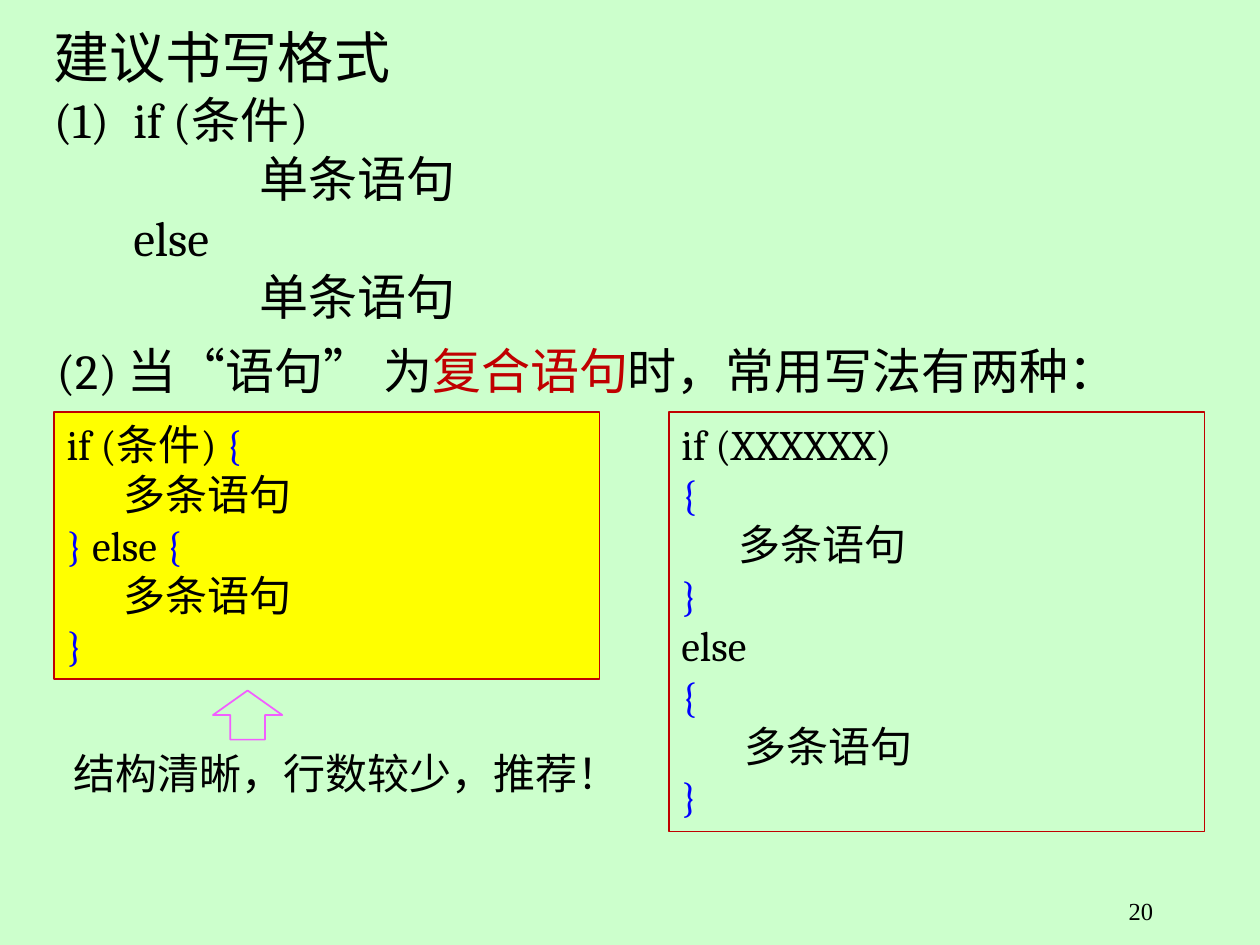
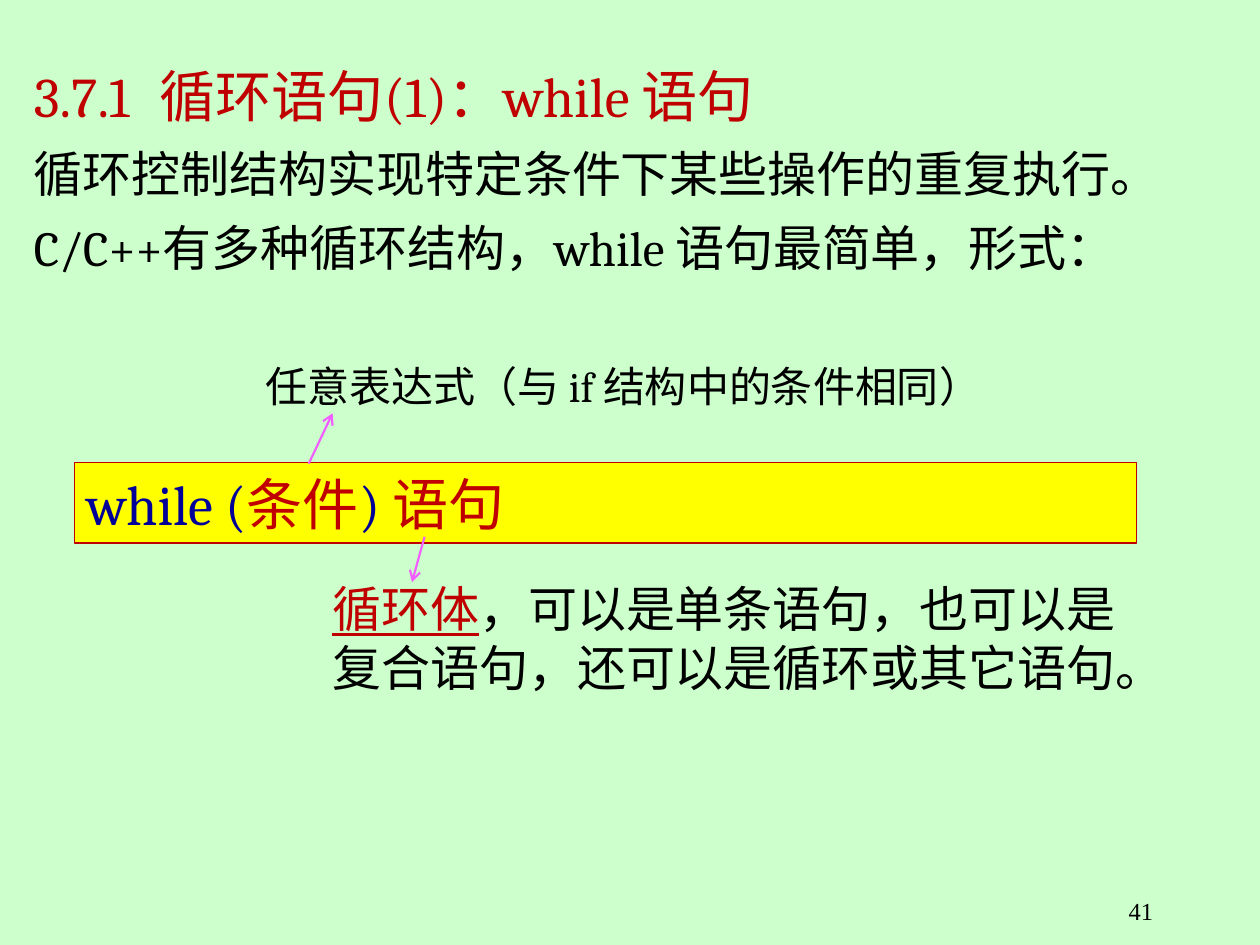
from dataclasses import dataclass
from typing import Optional

from lxml.etree import SubElement
from pptx import Presentation
from pptx.dml.color import RGBColor
from pptx.enum.shapes import MSO_CONNECTOR, MSO_SHAPE
from pptx.enum.text import MSO_ANCHOR, PP_ALIGN
from pptx.oxml.ns import qn
from pptx.util import Inches, Pt

COLORS = {
    "background": "CCFFCC",
    "text": "000000",
    "accent": "C00000",
    "panel": "FFFF00",
    "brace": "0000FF",
    "keyword": "000099",
    "arrow": "F25EFF",
}
SERIF, NUMBER_FONT = "Cambria", "Times New Roman"
TITLE, BODY, CODE, FOOTER = 32, 28, 24, 14

# The slide is a grid of 100 columns by 75 rows
WIDTH, HEIGHT = Inches(10), Inches(7.5)
COLUMN, ROW = WIDTH / 100, HEIGHT / 75


@dataclass(frozen=True)
class Area:
    column: float
    row: float
    columns: float
    rows: float

    def lengths(self) -> tuple:
        return (round(self.column * COLUMN), round(self.row * ROW),
                round(self.columns * COLUMN), round(self.rows * ROW))


@dataclass(frozen=True)
class Piece:
    text: str
    color: str = "text"
    underline: bool = False


@dataclass(frozen=True)
class Line:
    pieces: tuple
    size: float = CODE
    margin: float = 0          # columns
    hanging: float = 0         # columns
    tab: Optional[float] = None  # columns
    before: float = 0          # points


@dataclass(frozen=True)
class Arrow:
    start: tuple
    end: tuple


def line(*pieces, **options) -> Line:
    """A line of text; plain strings take the text colour."""
    return Line(tuple(Piece(p) if isinstance(p, str) else p for p in pieces), **options)


def rgb(name: str) -> RGBColor:
    return RGBColor.from_string(COLORS[name])


def write_text(shape, lines, *, font=SERIF, align=PP_ALIGN.LEFT,
               anchor=MSO_ANCHOR.TOP) -> None:
    frame = shape.text_frame
    frame.word_wrap = True
    frame.vertical_anchor = anchor
    for index, item in enumerate(lines):
        paragraph = frame.paragraphs[0] if index == 0 else frame.add_paragraph()
        paragraph.alignment = align
        properties = paragraph._p.get_or_add_pPr()
        properties.set("marL", str(round(item.margin * COLUMN)))
        properties.set("indent", str(round(-item.hanging * COLUMN)))
        properties.set("hangingPunct", "1")
        if item.tab is not None:
            stops = SubElement(properties, qn("a:tabLst"))
            SubElement(stops, qn("a:tab"), pos=str(round(item.tab * COLUMN)), algn="l")
        if item.before:
            paragraph.space_before = Pt(item.before)
        for piece in item.pieces:
            run = paragraph.add_run()
            run.text = piece.text
            run.font.name = font
            run.font.size = Pt(item.size)
            run.font.color.rgb = rgb(piece.color)
            if piece.underline:
                run.font.underline = True


def add_text(slide, area: Area, lines, **style) -> None:
    write_text(slide.shapes.add_textbox(*area.lengths()), lines, **style)


def add_panel(slide, area: Area, lines=(), *, kind=MSO_SHAPE.RECTANGLE, fill=None,
              outline="accent", weight=0.75, **style) -> None:
    shape = slide.shapes.add_shape(kind, *area.lengths())
    shape.shadow.inherit = False
    if fill:
        shape.fill.solid()
        shape.fill.fore_color.rgb = rgb(fill)
    else:
        shape.fill.background()
    shape.line.color.rgb = rgb(outline)
    shape.line.width = Pt(weight)
    write_text(shape, lines, **style)


def add_arrow(slide, arrow: Arrow) -> None:
    (x1, y1), (x2, y2) = arrow.start, arrow.end
    connector = slide.shapes.add_connector(
        MSO_CONNECTOR.STRAIGHT, round(x1 * COLUMN), round(y1 * ROW),
        round(x2 * COLUMN), round(y2 * ROW))
    connector.line.color.rgb = rgb("arrow")
    connector.line.width = Pt(1.25)
    SubElement(connector.line._get_or_add_ln(), qn("a:tailEnd"), type="arrow")
    SubElement(connector._element.spPr, qn("a:effectLst"))


def new_slide(presentation, number: int):
    """A blank slide with the shared background and page number."""
    slide = presentation.slides.add_slide(presentation.slide_layouts[6])
    slide.background.fill.solid()
    slide.background.fill.fore_color.rgb = rgb("background")
    add_text(slide, Area(71.7, 70.6, 20.8, 4.4), [line(str(number), size=FOOTER)],
             font=NUMBER_FONT, align=PP_ALIGN.RIGHT)
    return slide


def build_if_format(presentation) -> None:
    slide = new_slide(presentation, 20)
    opening, closing = Piece("{", "brace"), Piece("}", "brace")
    step = 6.3
    single = line("单条语句", size=BODY, margin=step + 10)
    several = line("多条语句", margin=4.5)

    # Single-statement form
    add_text(slide, Area(3.3, 1.3, 96.7, 25.2), [
        line("建议书写格式", size=TITLE),
        line("(1)\tif (条件)", size=BODY, margin=step, hanging=step),
        single,
        line("else", size=BODY, margin=step),
        single,
    ])
    add_text(slide, Area(3.5, 26.5, 93.2, 5.7), [
        line("(2) 当“语句” 为", Piece("复合语句", "accent"),
             "时，常用写法有两种：", size=BODY),
    ])

    # Two layouts for compound statements
    add_panel(slide, Area(4.3, 32.7, 43.3, 21.2), [
        line("if (条件) ", opening),
        several,
        line(Piece("} ", "brace"), "else ", opening),
        several,
        line(closing),
    ], fill="panel")
    add_panel(slide, Area(53.1, 32.7, 42.5, 33.3), [
        line("if (XXXXXX)"), line(opening), several, line(closing),
        line("else"), line(opening), line("多条语句", margin=5), line(closing),
    ])

    # Recommendation
    add_text(slide, Area(3.7, 58.8, 44.2, 5), [line("结构清晰，行数较少，推荐！")],
             font=NUMBER_FONT, align=PP_ALIGN.CENTER)
    add_panel(slide, Area(16.9, 54.8, 5.5, 3.9), kind=MSO_SHAPE.UP_ARROW,
              outline="arrow", weight=1)


def build_while_loop(presentation) -> None:
    slide = new_slide(presentation, 41)

    # Heading and introduction
    add_text(slide, Area(1.7, 4.4, 95.8, 18.6), [
        line(Piece("3.7.1\t循环语句(1)：while 语句", "accent"), size=TITLE, tab=10.7),
        line("循环控制结构实现特定条件下某些操作的重复执行。", size=BODY, before=8.4),
        line("C/C++有多种循环结构，while 语句最简单，形式：", size=BODY, before=8.4),
    ])

    # Syntax and its explanations
    add_panel(slide, Area(5.9, 36.7, 84.3, 6.4), [
        line(Piece("while (", "keyword"), Piece("条件", "accent"),
             Piece(") ", "keyword"), Piece("语句", "accent"), size=TITLE),
    ], fill="panel", anchor=MSO_ANCHOR.MIDDLE)
    add_text(slide, Area(25.4, 45.4, 67.1, 10.4), [
        line(Piece("循环体", "accent", underline=True),
             "，可以是单条语句，也可以是复合语句，还可以是循环或其它语句。", size=BODY),
    ])
    add_text(slide, Area(20.1, 28.1, 73.7, 5), [
        line("任意表达式（与 if 结构中的条件相同）"),
    ])
    for arrow in (Arrow((33.7, 42.6), (32.7, 46.2)), Arrow((24.5, 36.8), (26.4, 32.8))):
        add_arrow(slide, arrow)


def main() -> None:
    presentation = Presentation()
    presentation.slide_width, presentation.slide_height = WIDTH, HEIGHT
    build_if_format(presentation)
    build_while_loop(presentation)
    presentation.save("out.pptx")


if __name__ == "__main__":
    main()
